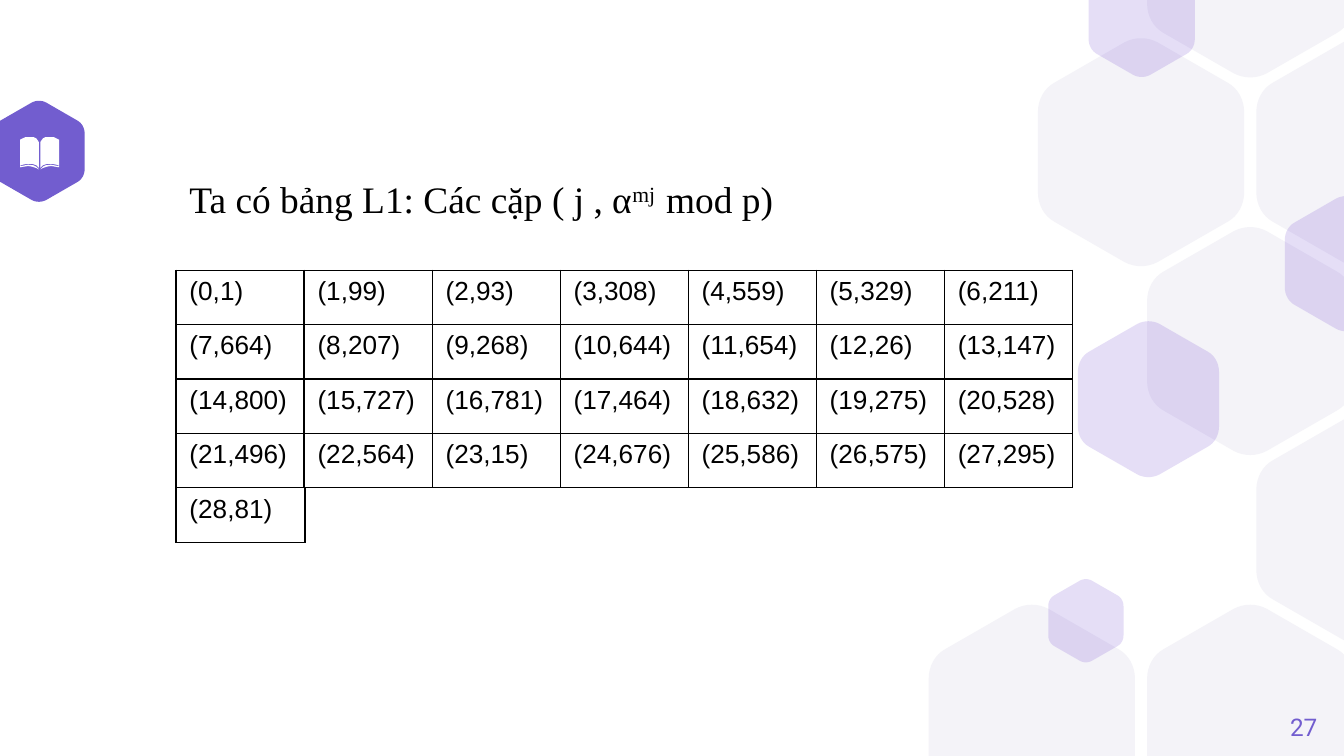
from dataclasses import dataclass
from typing import NamedTuple

from lxml import etree
from pptx import Presentation
from pptx import util as u
from pptx.dml.color import RGBColor
from pptx.enum import text
from pptx.oxml import ns

W, H = 10, 10 * 9 / 16


@dataclass(frozen=True)
class Theme:
    accent: str = "725DCF"
    lilac: str = "5322C9"
    pale: str = "F4F3F8"
    white: str = "FFFFFF"
    ink: str = "000000"
    title_font: str = "Times New Roman"
    table_font: str = "Arial"
    number_font: str = "Roboto"
    title_size: float = 20
    table_size: float = 14
    number_size: float = 13
    border: float = 0.75


class Hexagon(NamedTuple):
    left: float
    top: float
    width: float
    color: str
    alpha: int = 100


T = Theme()
HEX_RATIO = 1.105  # height to width
COL, ROW = 1.625 / 2, 1.405  # honeycomb steps
COMB_LEFT, COMB_TOP, COMB_WIDTH = 6.91, 0.285, 1.535

# Honeycomb cells as (column, row); lilac cells sit freely on top
PALE_CELLS = [(0, 3), (2, 3), (3, 0), (2, -1), (2, 1), (1, 0), (3, 2)]
HEXAGONS = [Hexagon(-0.05, 0.75, 0.68, T.accent)]
HEXAGONS += [Hexagon(COMB_LEFT + c * COL, COMB_TOP + r * ROW, COMB_WIDTH, T.pale)
             for c, r in PALE_CELLS]
HEXAGONS += [Hexagon(x, y, w, T.lilac, 15) for x, y, w in
             [(9.56, 1.46, 0.91), (7.8, 4.31, 0.56), (8.1, -0.3, 0.79), (8.02, 2.39, 1.05)]]

# Rounded corners of the upper half, as shares of the hexagon's box
SIDE = [(1, 0.325), (1, 0.27), (0.97, 0.22), (0.92, 0.195)]
PEAK = [(0.58, 0.018), (0.53, -0.006), (0.47, -0.006), (0.42, 0.018)]

# Left half of the open book, in inches; the right half mirrors it
BOOK_AXIS = 0.295
PAGE = [(0.15, 1.04), (0.17, 1.03), (0.19, 1.02), (0.22, 1.02), (0.25, 1.02), (0.27, 1.03),
        (0.285, 1.05), (0.29, 1.06), (0.29, 1.25), (0.27, 1.23), (0.24, 1.22), (0.2, 1.22),
        (0.15, 1.23)]
PAGE_EDGE = [(0.15, 1.23), (0.16, 1.235), (0.21, 1.225), (0.25, 1.23), (0.27, 1.24),
             (0.29, 1.26), (0.27, 1.25), (0.24, 1.24), (0.21, 1.235), (0.15, 1.245)]

TITLE_RUNS = [("Ta có bảng L1: Các cặp ( j , α", 0), ("mj  ", 30), ("mod p)", 0)]
ROWS = [
    ["(0,1)", "(1,99)", "(2,93)", "(3,308)", "(4,559)", "(5,329)", "(6,211)"],
    ["(7,664)", "(8,207)", "(9,268)", "(10,644)", "(11,654)", "(12,26)", "(13,147)"],
    ["(14,800)", "(15,727)", "(16,781)", "(17,464)", "(18,632)", "(19,275)", "(20,528)"],
    ["(21,496)", "(22,564)", "(23,15)", "(24,676)", "(25,586)", "(26,575)", "(27,295)"],
]
TABLE_LEFT, TABLE_TOP, CELL_W, CELL_H = 1.31, 2.01, 6.67 / 7, 0.405


def add_text(p, content: str, *, font: str, size: float, color: str = T.ink,
             align=text.PP_ALIGN.LEFT, baseline: int = 0) -> None:
    p.alignment = align
    r = p.add_run()
    r.text = content
    r.font.name, r.font.size = font, u.Pt(size)
    r.font.color.rgb = RGBColor.from_string(color)
    if baseline:
        r.font._element.set("baseline", str(baseline * 1000))


def add_outline(s, points: list, color: str, alpha: int = 100) -> None:
    emu = [(u.Inches(x), u.Inches(y)) for x, y in points]
    fb = s.shapes.build_freeform(*emu[0])
    fb.add_line_segments(emu[1:], close=True)
    sp = fb.convert_to_shape()
    sp.shadow.inherit = False
    sp.fill.solid()
    sp.fill.fore_color.rgb = RGBColor.from_string(color)
    sp.line.fill.background()
    if alpha < 100:
        clr = sp._element.spPr.find(".//" + ns.qn("a:srgbClr"))
        etree.SubElement(clr, ns.qn("a:alpha"), val=str(alpha * 1000))


def curve(ctrl: list, steps: int = 8) -> list:
    """Points along a cubic Bezier curve."""
    points = []
    for i in range(steps + 1):
        t = i / steps
        k = ((1 - t) ** 3, 3 * t * (1 - t) ** 2, 3 * t * t * (1 - t), t ** 3)
        points.append(tuple(sum(a * c[axis] for a, c in zip(k, ctrl)) for axis in (0, 1)))
    return points


def add_hexagon(s, h: Hexagon) -> None:
    other_side = [(1 - x, y) for x, y in reversed(SIDE)]
    upper = curve(SIDE) + curve(PEAK) + curve(other_side)
    unit = upper + [(1 - x, 1 - y) for x, y in upper]
    height = h.width * HEX_RATIO
    # Cut at the slide's top and bottom edges
    points = [(h.left + x * h.width, min(max(h.top + y * height, 0), H)) for x, y in unit]
    add_outline(s, points, h.color, h.alpha)


def add_grid(s, left: float, top: float, rows: list, cell_w: float = CELL_W) -> None:
    n = len(rows[0])
    tbl = s.shapes.add_table(len(rows), n, u.Inches(left), u.Inches(top),
                             u.Inches(n * cell_w), u.Inches(len(rows) * CELL_H)).table
    tbl.first_row = tbl.horz_banding = False
    for i, row in enumerate(rows):
        for j, value in enumerate(row):
            cell = tbl.cell(i, j)
            add_text(cell.text_frame.paragraphs[0], value, font=T.table_font, size=T.table_size)
            tc_pr = cell._tc.get_or_add_tcPr()
            for side in ("lnL", "lnR", "lnT", "lnB"):
                ln = etree.SubElement(tc_pr, ns.qn("a:" + side), w=str(u.Pt(T.border)))
                fill = etree.SubElement(ln, ns.qn("a:solidFill"))
                etree.SubElement(fill, ns.qn("a:srgbClr"), val=T.ink)
            cell.fill.background()


def main() -> None:
    prs = Presentation()
    prs.slide_width, prs.slide_height = u.Inches(W), u.Inches(H)
    s = prs.slides.add_slide(prs.slide_layouts[5])

    # Honeycomb and badge
    for h in HEXAGONS:
        add_hexagon(s, h)

    # Book icon
    for part in (PAGE, PAGE_EDGE):
        add_outline(s, part, T.white)
        add_outline(s, [(2 * BOOK_AXIS - x, y) for x, y in part], T.white)

    # Title
    title = s.shapes.title
    title.left, title.top, title.width, title.height = map(u.Inches, (1.31, 1.26, 5.6, 0.44))
    tf = title.text_frame
    tf.vertical_anchor, tf.word_wrap = text.MSO_ANCHOR.TOP, True
    tf.auto_size = text.MSO_AUTO_SIZE.NONE
    for content, baseline in TITLE_RUNS:
        add_text(tf.paragraphs[0], content, font=T.title_font, size=T.title_size,
                 baseline=baseline)

    # Pairs, with the last one in a table of its own
    add_grid(s, TABLE_LEFT, TABLE_TOP, ROWS)
    add_grid(s, TABLE_LEFT, TABLE_TOP + len(ROWS) * CELL_H, [["(28,81)"]], cell_w=0.96)

    # Slide number
    tf = s.shapes.add_textbox(*map(u.Inches, (9.4, 5.19, 0.6, 0.43))).text_frame
    tf.word_wrap, tf.vertical_anchor = True, text.MSO_ANCHOR.MIDDLE
    tf.margin_left = tf.margin_right = tf.margin_top = tf.margin_bottom = 0
    add_text(tf.paragraphs[0], "27", font=T.number_font, size=T.number_size, color=T.accent,
             align=text.PP_ALIGN.CENTER)

    prs.save("out.pptx")


if __name__ == "__main__":
    main()
